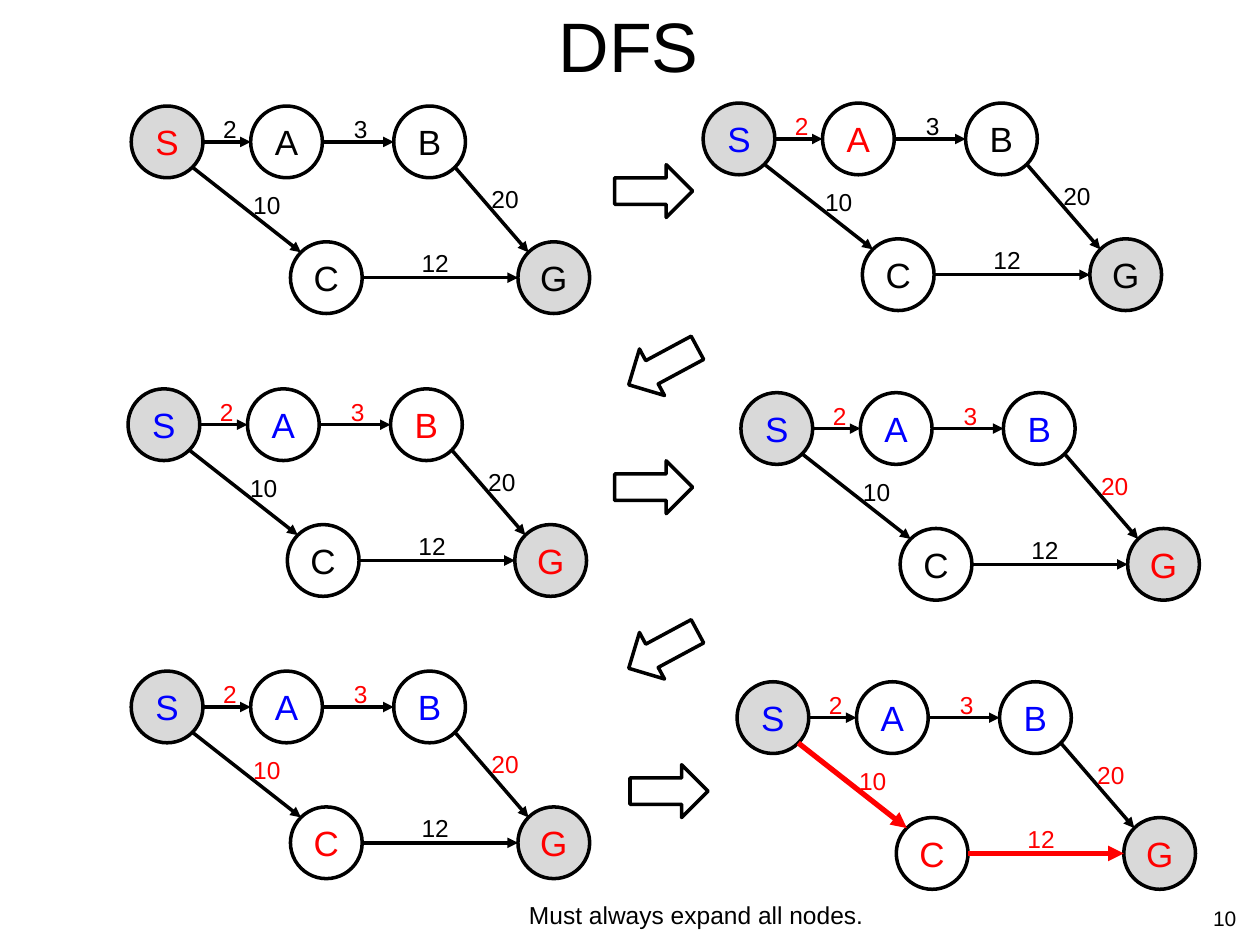
from dataclasses import dataclass
from math import sqrt

from lxml.etree import SubElement
from pptx import Presentation
from pptx.dml.color import RGBColor
from pptx.enum.shapes import MSO_CONNECTOR, MSO_SHAPE
from pptx.enum.text import MSO_ANCHOR, MSO_AUTO_SIZE, PP_ALIGN
from pptx.oxml.ns import qn
from pptx.util import Pt


@dataclass(frozen=True)
class Theme:
    font: str = "Arial"
    black: str = "000000"
    red: str = "FF0000"
    blue: str = "0000FF"
    grey: str = "D9D9D9"
    title_size: float = 40
    node_size: float = 20
    label_size: float = 14
    page_size: float = 12
    line_width: float = 2
    path_width: float = 3


@dataclass(frozen=True)
class Step:
    """One search state: its origin, node colours and the edges found so far."""
    left: float
    top: float
    visited: str = ""
    active: str = ""
    found: tuple = ()
    path_edges: tuple = ()


DIAMETER = 41
NODES = {"S": (0, 0), "A": (68.25, 0), "B": (150, 0), "C": (91, 77.6), "G": (221, 77.6)}
ENDPOINTS = ("S", "G")
# Edge cost: start node, end node, label offset, label width
EDGES = {
    "2": ("S", "A", (45.4, 1.2), 22.3),
    "3": ("A", "B", (120.2, 1.2), 22.3),
    "10": ("S", "C", (62.6, 44.6), 30.2),
    "12": ("C", "G", (158.8, 77.6), 30.2),
    "20": ("B", "G", (198.7, 41), 30.2),
}
STEPS = (
    Step(75, 60.6, active="S"),
    Step(401.8, 58.9, "S", "A", ("2",)),
    Step(73.2, 222.2, "SA", "BG", ("2", "3")),
    Step(423.4, 224.4, "SAB", "G", ("2", "3", "20")),
    Step(75, 383.5, "SAB", "CG", ("2", "3", "10", "20")),
    Step(421.2, 389.6, "SAB", "CG", tuple(EDGES), ("10", "12")),
)
BLOCK_ARROWS = (
    (351.2, 94.1, 0), (351.2, 263.3, 0), (356.6, 194.2, 151.7),
    (356.6, 356.2, 151.7), (360, 437, 0),
)


class SlideBuilder:
    def __init__(self, slide, theme):
        self.slide = slide
        self.theme = theme

    def add_run(self, paragraph, text, size, color):
        run = paragraph.add_run()
        run.text = text
        run.font.name = self.theme.font
        run.font.size = Pt(size)
        run.font.color.rgb = RGBColor.from_string(color)

    def outline(self, shape, fill=None):
        shape.shadow.inherit = False
        if fill:
            shape.fill.solid()
            shape.fill.fore_color.rgb = RGBColor.from_string(fill)
        else:
            shape.fill.background()
        shape.line.color.rgb = RGBColor.from_string(self.theme.black)
        shape.line.width = Pt(self.theme.line_width)

    def text(self, shapes, text, box, size, color=None, align=PP_ALIGN.LEFT,
             anchor=MSO_ANCHOR.TOP, wrap=True):
        frame = shapes.add_textbox(*map(Pt, box)).text_frame
        frame.word_wrap = wrap
        frame.vertical_anchor = anchor
        if not wrap:
            frame.auto_size = MSO_AUTO_SIZE.SHAPE_TO_FIT_TEXT
        paragraph = frame.paragraphs[0]
        paragraph.alignment = align
        self.add_run(paragraph, text, size, color or self.theme.black)

    def node(self, shapes, name, left, top, color):
        box = (left, top, DIAMETER, DIAMETER)
        shape = shapes.add_shape(MSO_SHAPE.OVAL, *map(Pt, box))
        self.outline(shape, self.theme.grey if name in ENDPOINTS else None)
        frame = shape.text_frame
        frame.margin_left = frame.margin_right = 0
        frame.vertical_anchor = MSO_ANCHOR.MIDDLE
        paragraph = frame.paragraphs[0]
        paragraph.alignment = PP_ALIGN.CENTER
        self.add_run(paragraph, name, self.theme.node_size, color)

    def edge(self, shapes, start, end, color, width):
        connector = shapes.add_connector(MSO_CONNECTOR.STRAIGHT, *map(Pt, start + end))
        connector.line.color.rgb = RGBColor.from_string(color)
        connector.line.width = Pt(width)
        SubElement(connector.line._get_or_add_ln(), qn("a:tailEnd"), type="triangle")
        SubElement(connector._element.spPr, qn("a:effectLst"))

    def block_arrow(self, left, top, rotation):
        box = (left, top, 44.6, 30.2)
        shape = self.slide.shapes.add_shape(MSO_SHAPE.RIGHT_ARROW, *map(Pt, box))
        shape.rotation = rotation
        self.outline(shape)

    def graph(self, step):
        theme = self.theme
        shapes = self.slide.shapes.add_group_shape().shapes
        for name, (x, y) in NODES.items():
            color = (theme.blue if name in step.visited
                     else theme.red if name in step.active else theme.black)
            self.node(shapes, name, step.left + x, step.top + y, color)
        for cost, (start, end, (x, y), width) in EDGES.items():
            on_path = cost in step.path_edges
            self.edge(shapes, *edge_points(step, start, end),
                      theme.red if on_path else theme.black,
                      theme.path_width if on_path else theme.line_width)
            self.text(shapes, cost, (step.left + x, step.top + y, width, 24.2),
                      theme.label_size,
                      theme.red if cost in step.found else theme.black, wrap=False)


def edge_points(step, start, end):
    """Return rim points: sideways within a row, at 45 degrees between rows."""
    radius = DIAMETER / 2
    (x1, y1), (x2, y2) = NODES[start], NODES[end]
    dx, dy = (radius, 0) if y1 == y2 else (radius / sqrt(2), radius / sqrt(2))
    left, top = step.left + radius, step.top + radius
    return (left + x1 + dx, top + y1 + dy), (left + x2 - dx, top + y2 - dy)


def main():
    presentation = Presentation()
    presentation.slide_width, presentation.slide_height = Pt(720), Pt(540)
    slide = presentation.slides.add_slide(presentation.slide_layouts[6])
    theme = Theme()
    builder = SlideBuilder(slide, theme)

    builder.text(slide.shapes, "DFS", (35.3, -8.6, 648, 68.4), theme.title_size,
                 align=PP_ALIGN.CENTER, anchor=MSO_ANCHOR.MIDDLE)
    for step in STEPS:
        builder.graph(step)
    for arrow in BLOCK_ARROWS:
        builder.block_arrow(*arrow)
    builder.text(slide.shapes, "Must always expand all nodes.",
                 (295.2, 510.5, 223.2, 24.2), theme.label_size)
    builder.text(slide.shapes, "10", (545.8, 514.1, 167.8, 19.4), theme.page_size,
                 align=PP_ALIGN.RIGHT)
    presentation.save("out.pptx")


if __name__ == "__main__":
    main()
